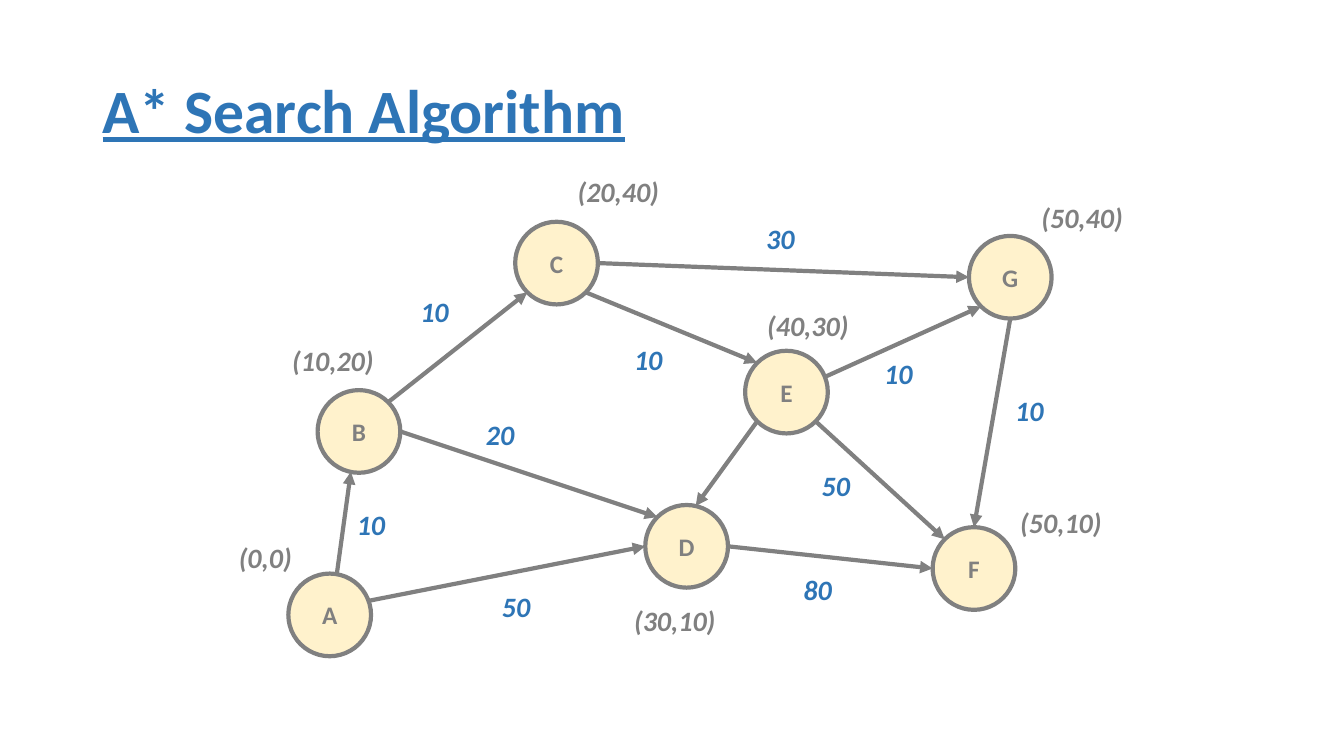
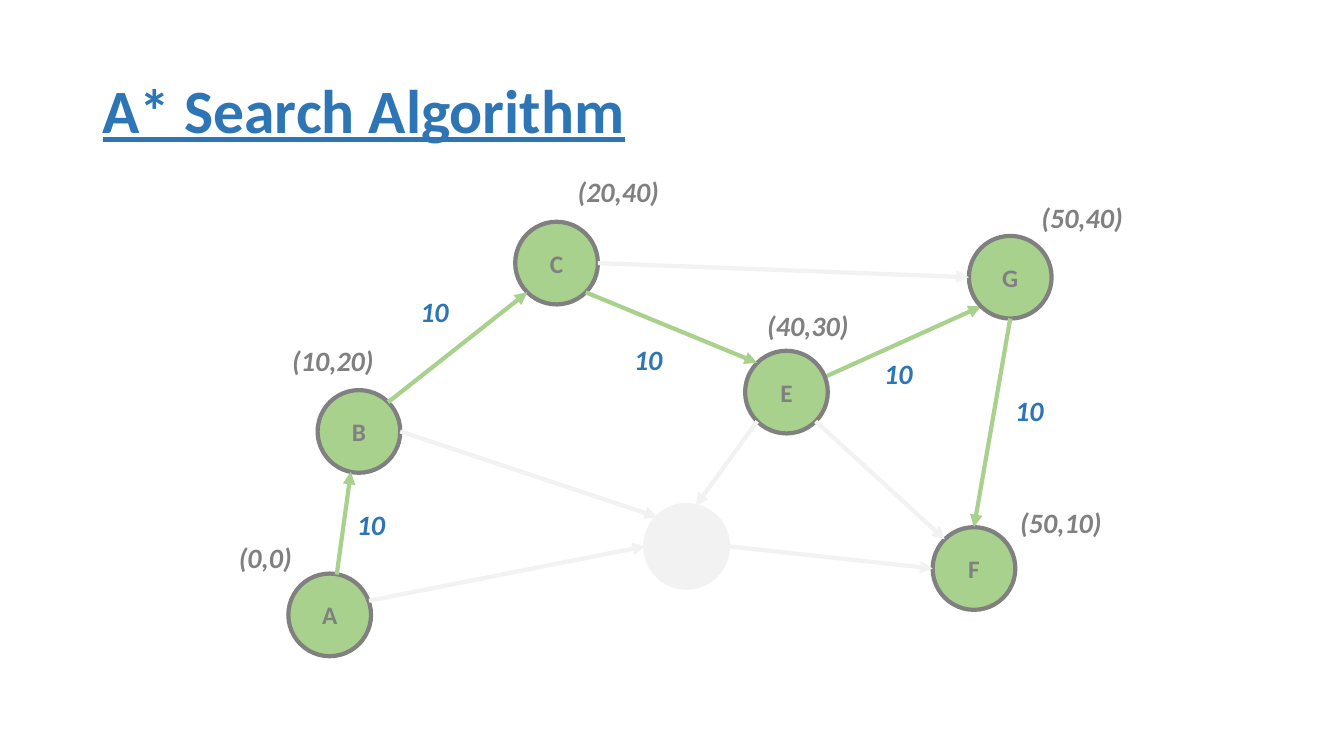
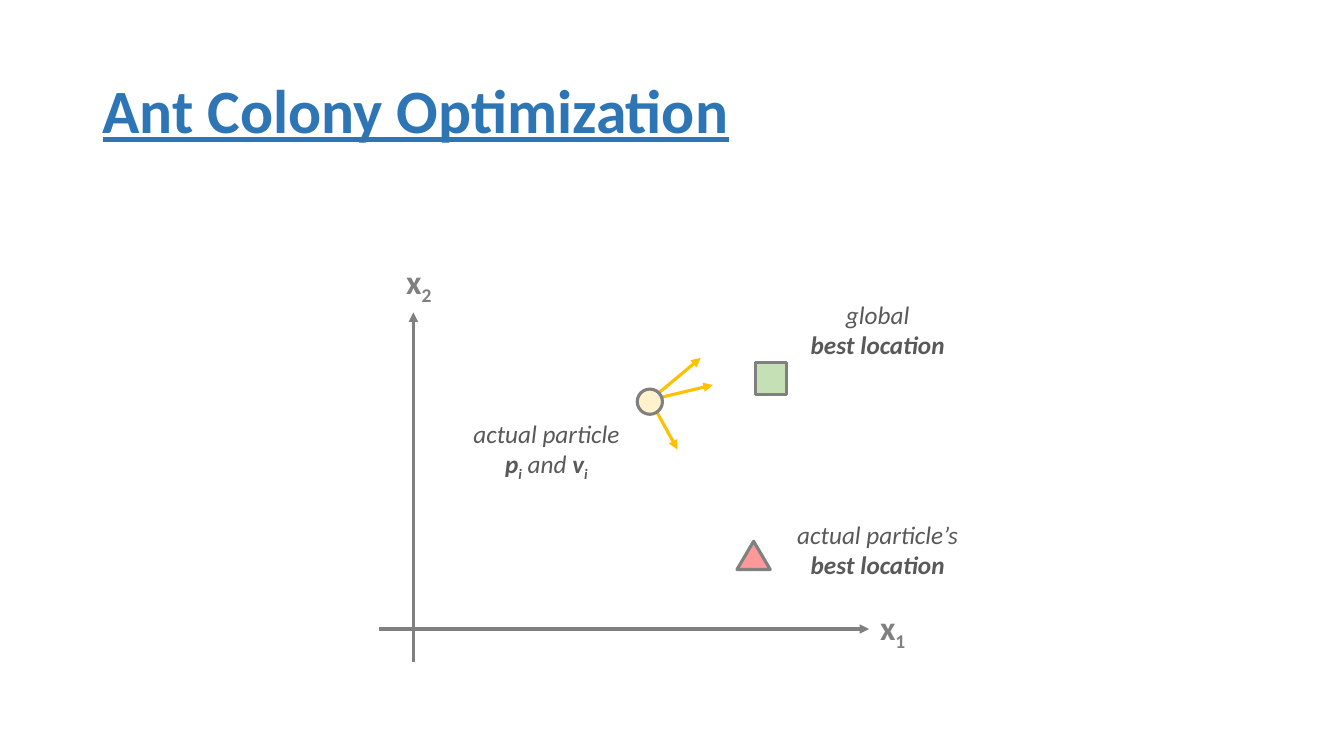
from dataclasses import dataclass
from itertools import pairwise
from math import cos, radians, sin
from typing import NamedTuple

from lxml.etree import SubElement
from pptx import Presentation
from pptx.dml.color import RGBColor
from pptx.enum.shapes import MSO_CONNECTOR, MSO_SHAPE
from pptx.enum.text import MSO_ANCHOR, MSO_AUTO_SIZE, PP_ALIGN
from pptx.oxml.ns import qn
from pptx.shapes.autoshape import Shape
from pptx.slide import Slide
from pptx.util import Emu, Pt

PX = 9144  # 100 px to the inch
FONT = "Calibri"
COLORS = {
    "title": "2E75B6",
    "weight": "2E75B6",
    "gray": "808080",
    "caption": "595959",
    "cream": "FFF2CC",
    "route": "A9D18E",
    "faded": "F2F2F2",
    "velocity": "FFC000",
    "global_best": "C5E0B4",
    "own_best": "FF9999",
}
NODE_RADIUS = 41
LABEL_HEIGHT = 44
WEIGHT_WIDTH = 49


class Point(NamedTuple):
    x: int
    y: int


class Box(NamedTuple):
    left: int
    top: int
    width: int
    height: int


class Part(NamedTuple):
    """A stretch of text in one style."""
    text: str
    bold: bool = False
    italic: bool = False
    subscript: bool = False
    underline: bool = False


@dataclass(frozen=True)
class Node:
    center: Point
    position: str
    label_box: Box


@dataclass(frozen=True)
class Edge:
    """Angles, counterclockwise from the right, say where the arrow meets each node."""
    start: str
    start_angle: int
    end: str
    end_angle: int
    weight: str = ""
    weight_at: Point = Point(0, 0)
    behind_nodes: bool = False


@dataclass(frozen=True)
class Marker:
    kind: MSO_SHAPE
    box: Box
    color: str


@dataclass(frozen=True)
class Caption:
    box: Box
    lines: list[list[Part]]


TITLE_BOX = Box(92, 40, 1150, 145)

NODES = {
    "C": Node(Point(552, 261), "(20,40)", Box(563, 168, 102, LABEL_HEIGHT)),
    "A": Node(Point(327, 610), "(0,0)", Box(227, 531, 73, LABEL_HEIGHT)),
    "F": Node(Point(966, 564), "(50,10)", Box(1002, 497, 102, LABEL_HEIGHT)),
    "D": Node(Point(681, 542), "(30,10)", Box(619, 594, 102, LABEL_HEIGHT)),
    "E": Node(Point(780, 389), "(40,30)", Box(751, 301, 102, LABEL_HEIGHT)),
    "G": Node(Point(1002, 275), "(50,40)", Box(1023, 194, 102, LABEL_HEIGHT)),
    "B": Node(Point(356, 428), "(10,20)", Box(280, 336, 102, LABEL_HEIGHT)),
}
EDGES = [
    Edge("E", 21, "G", 225, "10", Point(867, 349), behind_nodes=True),
    Edge("A", 80, "B", 259, "10", Point(344, 499)),
    Edge("A", 20, "D", 180, "50", Point(488, 580)),
    Edge("C", 0, "G", 180, "30", Point(750, 215)),
    Edge("E", 225, "D", 78),
    Edge("D", 0, "F", 180, "80", Point(787, 563)),
    Edge("G", 270, "F", 90, "10", Point(997, 385)),
    Edge("E", 315, "F", 135, "50", Point(805, 460)),
    Edge("B", 45, "C", 225, "10", Point(407, 287)),
    Edge("B", 0, "D", 135, "20", Point(472, 409)),
    Edge("C", 315, "E", 135, "10", Point(619, 335)),
]
BEST_ROUTE = "ABCEGF"

VELOCITIES = [
    (Point(646, 396), Point(695, 355)),
    (Point(648, 396), Point(707, 382)),
    (Point(645, 397), Point(672, 446)),
]
AXES = [
    (Point(410, 657), Point(410, 310)),
    (Point(376, 624), Point(862, 624)),
]
AXIS_NAMES = {"2": Box(393, 254, 47, 50), "1": Box(863, 597, 47, 50)}
MARKERS = [
    Marker(MSO_SHAPE.OVAL, Box(632, 386, 25, 25), "cream"),
    Marker(MSO_SHAPE.RECTANGLE, Box(749, 360, 31, 31), "global_best"),
    Marker(MSO_SHAPE.ISOSCELES_TRIANGLE, Box(731, 537, 33, 28), "own_best"),
]
BEST_LOCATION = [Part("best location", bold=True, italic=True)]
CAPTIONS = [
    Caption(Box(459, 410, 166, 71), [
        [Part("actual particle", italic=True)],
        [
            Part("p", bold=True, italic=True),
            Part("i", bold=True, italic=True, subscript=True),
            Part(" and ", italic=True),
            Part("v", bold=True, italic=True),
            Part("i", bold=True, italic=True, subscript=True),
        ],
    ]),
    Caption(Box(780, 510, 181, 71), [[Part("actual particle’s", italic=True)], BEST_LOCATION]),
    Caption(Box(793, 292, 155, 71), [[Part("global", italic=True)], BEST_LOCATION]),
]


def rgb(color: str) -> RGBColor:
    return RGBColor.from_string(COLORS[color])


def emu(box: Box | Point) -> list[Emu]:
    return [Emu(length * PX) for length in box]


def write(shape: Shape, lines: list[list[Part]], size: int, color: str,
          align: PP_ALIGN = PP_ALIGN.LEFT) -> None:
    frame = shape.text_frame
    for index, parts in enumerate(lines):
        paragraph = frame.add_paragraph() if index else frame.paragraphs[0]
        paragraph.alignment = align
        for part in parts:
            run = paragraph.add_run()
            run.text = part.text
            font = run.font
            font.name, font.size = FONT, Pt(size)
            font.bold, font.italic = part.bold, part.italic
            font.underline = part.underline
            font.color.rgb = rgb(color)
            if part.subscript:
                run._r.get_or_add_rPr().set("baseline", "-25000")


def add_label(slide: Slide, box: Box, lines: list[list[Part]], size: int, color: str,
              align: PP_ALIGN = PP_ALIGN.LEFT) -> None:
    """Text box that fits its unwrapped text."""
    label = slide.shapes.add_textbox(*emu(box))
    label.text_frame.word_wrap = False
    label.text_frame.auto_size = MSO_AUTO_SIZE.SHAPE_TO_FIT_TEXT
    write(label, lines, size, color, align)


def add_shape(slide: Slide, kind: MSO_SHAPE, box: Box, fill: str, line: str,
              line_width: float) -> Shape:
    shape = slide.shapes.add_shape(kind, *emu(box))
    shape.shadow.inherit = False
    shape.fill.solid()
    shape.fill.fore_color.rgb = rgb(fill)
    shape.line.color.rgb = rgb(line)
    shape.line.width = Pt(line_width)
    return shape


def add_arrow(slide: Slide, start: Point, end: Point, color: str, width: float) -> None:
    arrow = slide.shapes.add_connector(MSO_CONNECTOR.STRAIGHT, *emu(start), *emu(end))
    arrow.line.color.rgb = rgb(color)
    arrow.line.width = Pt(width)
    SubElement(arrow.line._get_or_add_ln(), qn("a:tailEnd"), type="triangle")
    SubElement(arrow._element.spPr, qn("a:effectLst"))


def add_titled_slide(presentation: Presentation, title: str) -> Slide:
    slide = presentation.slides.add_slide(presentation.slide_layouts[6])
    shape = slide.shapes.add_textbox(*emu(TITLE_BOX))
    shape.text_frame.word_wrap = True
    shape.text_frame.vertical_anchor = MSO_ANCHOR.MIDDLE
    write(shape, [[Part(title, bold=True, underline=True)]], 44, "title")
    shape.text_frame.paragraphs[0].line_spacing = 0.9
    return slide


def rim_point(center: Point, angle: int) -> Point:
    return Point(round(center.x + NODE_RADIUS * cos(radians(angle))),
                 round(center.y - NODE_RADIUS * sin(radians(angle))))


def add_edge(slide: Slide, edge: Edge, color: str) -> None:
    start = rim_point(NODES[edge.start].center, edge.start_angle)
    end = rim_point(NODES[edge.end].center, edge.end_angle)
    add_arrow(slide, start, end, color, 3)


def add_node(slide: Slide, name: str, fill: str, faded: bool) -> None:
    center = NODES[name].center
    box = Box(center.x - NODE_RADIUS, center.y - NODE_RADIUS, 2 * NODE_RADIUS, 2 * NODE_RADIUS)
    if faded:
        add_shape(slide, MSO_SHAPE.OVAL, box, "faded", "faded", 3)
        return
    circle = add_shape(slide, MSO_SHAPE.OVAL, box, fill, "gray", 3)
    circle.text_frame.vertical_anchor = MSO_ANCHOR.MIDDLE
    write(circle, [[Part(name, bold=True)]], 18, "gray", PP_ALIGN.CENTER)


def add_graph_label(slide: Slide, box: Box, text: str, color: str) -> None:
    add_label(slide, box, [[Part(text, bold=True, italic=True)]], 20, color)


def build_graph_slide(presentation: Presentation, route: str = "") -> None:
    """With a route, its nodes and edges are highlighted; the rest is faded and unlabelled."""
    slide = add_titled_slide(presentation, "A* Search Algorithm")
    steps = set(pairwise(route))
    active_nodes = [name for name in NODES if not route or name in route]
    active_edges = [edge for edge in EDGES if not route or (edge.start, edge.end) in steps]

    def add_edges(behind_nodes: bool) -> None:
        active_color = "route" if route else "gray"
        for edge in EDGES:
            if edge.behind_nodes == behind_nodes:
                add_edge(slide, edge, active_color if edge in active_edges else "faded")

    add_edges(behind_nodes=True)
    for name in NODES:
        add_node(slide, name, "route" if route else "cream", name not in active_nodes)
    add_edges(behind_nodes=False)
    for name in active_nodes:
        add_graph_label(slide, NODES[name].label_box, NODES[name].position, "gray")
    for edge in active_edges:
        if edge.weight:
            box = Box(*edge.weight_at, WEIGHT_WIDTH, LABEL_HEIGHT)
            add_graph_label(slide, box, edge.weight, "weight")


def build_particle_slide(presentation: Presentation) -> None:
    slide = add_titled_slide(presentation, "Ant Colony Optimization")
    for start, end in VELOCITIES:
        add_arrow(slide, start, end, "velocity", 2.25)
    for start, end in AXES:
        add_arrow(slide, start, end, "gray", 2.25)
    for number, box in AXIS_NAMES.items():
        name = [Part("x", bold=True), Part(number, bold=True, subscript=True)]
        add_label(slide, box, [name], 24, "gray")
    for marker in MARKERS:
        add_shape(slide, marker.kind, marker.box, marker.color, "gray", 2.25)
    for caption in CAPTIONS:
        add_label(slide, caption.box, caption.lines, 18, "caption", PP_ALIGN.CENTER)


def main() -> None:
    presentation = Presentation()
    presentation.slide_width = Emu(1333 * PX)
    presentation.slide_height = Emu(750 * PX)
    build_graph_slide(presentation)
    build_graph_slide(presentation, BEST_ROUTE)
    build_particle_slide(presentation)
    presentation.save("out.pptx")


if __name__ == "__main__":
    main()
